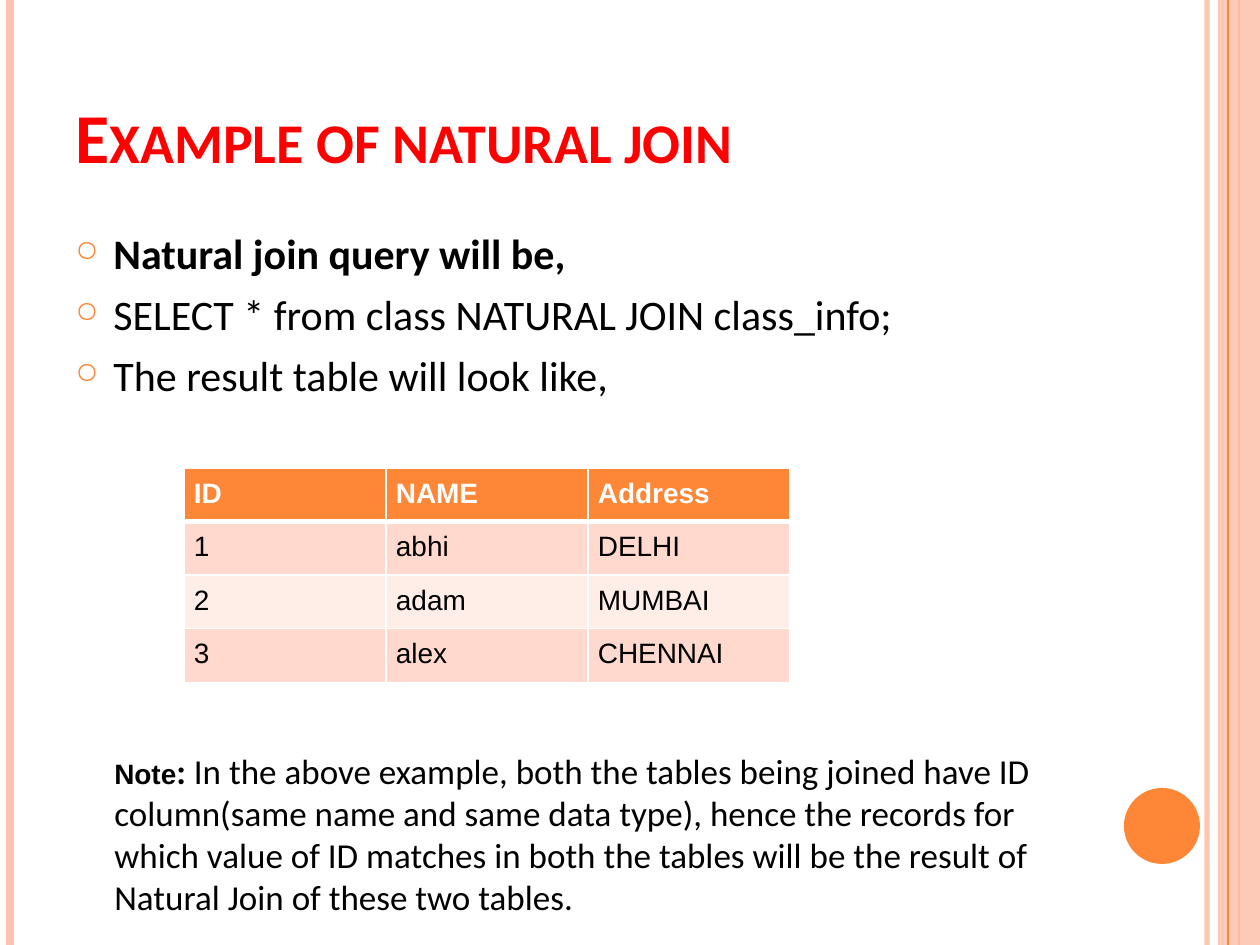
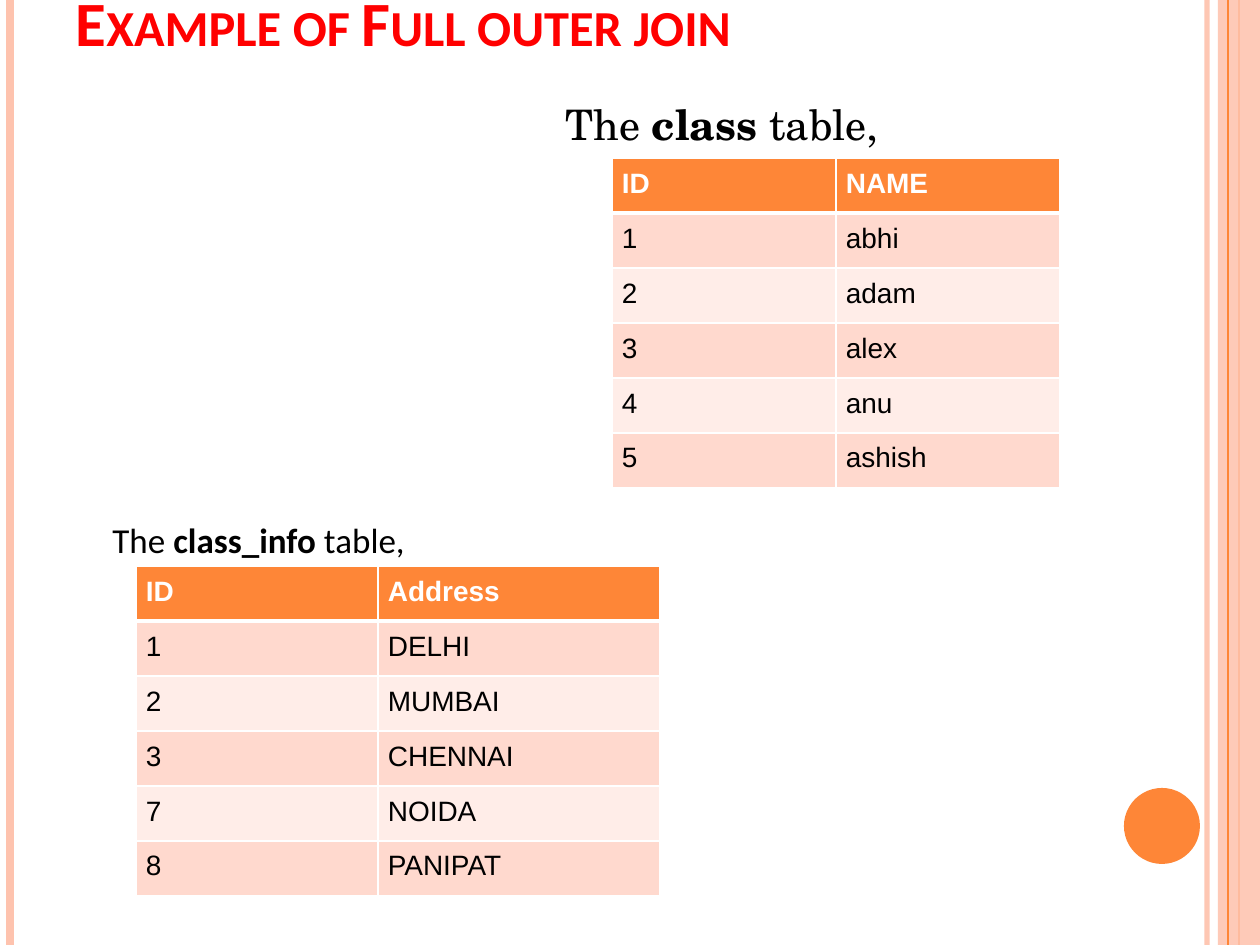
from dataclasses import dataclass

from lxml import etree
from pptx import Presentation, util as u
from pptx.dml.color import RGBColor
from pptx.enum import shapes, text
from pptx.oxml.ns import qn

SCALE = u.Inches(1) / 126
WIDTH, HEIGHT = 1260, 945


def px(length):
    return u.Emu(round(length * SCALE))


@dataclass(frozen=True)
class Theme:
    accent: str = "FE8637"
    blush: str = "FEC3AE"
    title: str = "FF0000"
    ink: str = "000000"
    paper: str = "FFFFFF"
    bands: tuple = ("FFD9CE", "FFEDE8")
    sans: str = "Calibri"
    serif: str = "TeX Gyre Schola"
    grid: str = "Arial"
    heading: int = 40
    subheading: int = 36
    body: int = 24
    note: int = 20
    cell: int = 16


def child(parent, tag, **attributes):
    return etree.SubElement(parent, qn(tag), attributes)


def paint(color_format, color, alpha=100):
    color_format.rgb = RGBColor.from_string(color)
    if alpha < 100:
        for solid in color_format._xFill.iter(qn("a:srgbClr")):
            child(solid, "a:alpha", val=str(alpha * 1000))


def write(paragraph, words, font, size, color, bold=False, small_caps=False):
    run = paragraph.add_run()
    run.text = words
    run.font.name = font
    run.font.size = u.Pt(size)
    run.font.bold = bold
    paint(run.font.color, color)
    if small_caps:
        run.font._element.set("cap", "small")


class Deck:
    def __init__(self, theme):
        self.theme = theme
        self.show = Presentation()
        self.show.slide_width, self.show.slide_height = px(WIDTH), px(HEIGHT)
        self.slide = None

    def start(self):
        self.slide = self.show.slides.add_slide(self.show.slide_layouts[5])
        blush, accent = self.theme.blush, self.theme.accent
        self.rule(1207, 3, blush, alpha=93)
        self.rule(10, 4.5, blush)
        self.rule(1239, 1.5, accent)
        self.solid(shapes.MSO_SHAPE.RECTANGLE, (1218, 0, 42, HEIGHT), blush, alpha=87)
        self.rule(1228, 0.75, accent)
        self.solid(shapes.MSO_SHAPE.OVAL, (1124, 788, 76, 76), accent)

    def rule(self, x, weight, color, alpha=100):
        stripe = self.slide.shapes.add_connector(
            shapes.MSO_CONNECTOR.STRAIGHT, px(x), 0, px(x), px(HEIGHT))
        stripe.line.width = u.Pt(weight)
        stripe.line.fill.solid()
        self.tint(stripe.line.fill.fore_color, stripe, color, alpha)
        child(stripe._element.spPr, "a:effectLst")

    def solid(self, kind, box, color, alpha=100):
        patch = self.slide.shapes.add_shape(kind, *map(px, box))
        patch.shadow.inherit = False
        patch.line.fill.background()
        patch.fill.solid()
        self.tint(patch.fill.fore_color, patch, color, alpha)

    def tint(self, color_format, shape, color, alpha):
        paint(color_format, color)
        if alpha < 100:
            rgb = next(shape._element.spPr.iter(qn("a:srgbClr")))
            child(rgb, "a:alpha", val=str(alpha * 1000))

    def title(self, words, box, size, bottom=6):
        heading = self.slide.shapes.title
        heading.left, heading.top, heading.width, heading.height = map(px, box)
        frame = heading.text_frame
        frame.auto_size = text.MSO_AUTO_SIZE.NONE
        frame.vertical_anchor = text.MSO_ANCHOR.BOTTOM
        frame.margin_bottom = px(bottom)
        frame.paragraphs[0].alignment = text.PP_ALIGN.LEFT
        write(frame.paragraphs[0], words, self.theme.sans, size, self.theme.title,
              bold=True, small_caps=True)

    def text(self, box, lines, size, font=None, bullets=False, indent=0, before=0):
        frame = self.slide.shapes.add_textbox(*map(px, box)).text_frame
        frame.word_wrap = True
        for index, line in enumerate(lines):
            paragraph = frame.add_paragraph() if index else frame.paragraphs[0]
            paragraph.space_before = u.Pt(before)
            properties = paragraph._p.get_or_add_pPr()
            properties.set("marL", str(px(indent)))
            if bullets:
                self.bullet(properties, indent)
            for words, changes in line:
                style = dict(font=font or self.theme.sans, size=size, color=self.theme.ink)
                write(paragraph, words, **(style | changes))

    def bullet(self, properties, indent):
        properties.set("indent", str(-px(indent)))
        child(child(properties, "a:buClr"), "a:srgbClr", val=self.theme.accent)
        child(properties, "a:buSzPct", val="70000")
        child(properties, "a:buChar", char="○")

    def table(self, left, top, widths, row_height, rows):
        theme = self.theme
        grid = self.slide.shapes.add_table(
            len(rows), len(widths), px(left), px(top),
            px(sum(widths)), px(row_height * len(rows))).table
        for column, width in zip(grid.columns, widths):
            column.width = px(width)
        for r, values in enumerate(rows):
            grid.rows[r].height = px(row_height)
            header = r == 0
            fill = theme.accent if header else theme.bands[(r - 1) % 2]
            for c, value in enumerate(values):
                cell = grid.cell(r, c)
                cell.margin_left = cell.margin_right = px(10)
                cell.margin_top = cell.margin_bottom = px(10)
                self.borders(cell, top=3 if r == 1 else 1, bottom=3 if header else 1)
                cell.fill.solid()
                paint(cell.fill.fore_color, fill)
                write(cell.text_frame.paragraphs[0], value, theme.grid, theme.cell,
                      theme.paper if header else theme.ink, bold=header)

    def borders(self, cell, top, bottom):
        properties = cell._tc.get_or_add_tcPr()
        for side, weight in zip("LRTB", (1, 1, top, bottom)):
            edge = child(properties, f"a:ln{side}", w=str(u.Pt(weight)))
            child(child(edge, "a:solidFill"), "a:srgbClr", val=self.theme.paper)


def natural_join(deck):
    theme = deck.theme
    deck.start()
    deck.title("Example of natural join", (63, 38, 1029, 146), theme.heading)
    deck.text((63, 221, 1029, 672), [
        [("Natural join query will be,", {"bold": True})],
        [("SELECT * from class NATURAL JOIN class_info;", {})],
        [("The result table will look like,", {})],
    ], theme.body, bullets=True, indent=38, before=6)
    deck.table(184, 468, [202] * 3, 52, [
        ("ID", "NAME", "Address"),
        ("1", "abhi", "DELHI"),
        ("2", "adam", "MUMBAI"),
        ("3", "alex", "CHENNAI"),
    ])
    deck.text((102, 743, 984, 183), [[
        ("Note", {"font": theme.grid, "size": theme.cell, "bold": True}),
        (":", {"bold": True}),
        (" In the above example, both the tables being joined have ID column"
         "(same name and same data type), hence the records for which value of ID "
         "matches in both the tables will be the result of Natural Join of these "
         "two tables.", {}),
    ]], theme.note)


def full_outer_join(deck):
    theme = deck.theme

    def caption(name):
        return [[("The ", {}), (name, {"bold": True}), (" table,", {})]]

    deck.start()
    deck.title("Example of Full outer join", (63, 0, 1029, 147), theme.subheading, bottom=88)
    deck.text((63, 92, 1029, 800), caption("class"), theme.body,
              font=theme.serif, indent=490, before=6)
    deck.table(612, 158, [224] * 2, 55, [
        ("ID", "NAME"),
        ("1", "abhi"),
        ("2", "adam"),
        ("3", "alex"),
        ("4", "anu"),
        ("5", "ashish"),
    ])
    deck.text((100, 512, 412, 55), caption("class_info"), theme.note)
    deck.table(136, 566, [242, 282], 55, [
        ("ID", "Address"),
        ("1", "DELHI"),
        ("2", "MUMBAI"),
        ("3", "CHENNAI"),
        ("7", "NOIDA"),
        ("8", "PANIPAT"),
    ])


def main():
    deck = Deck(Theme())
    natural_join(deck)
    full_outer_join(deck)
    deck.show.save("out.pptx")


if __name__ == "__main__":
    main()
